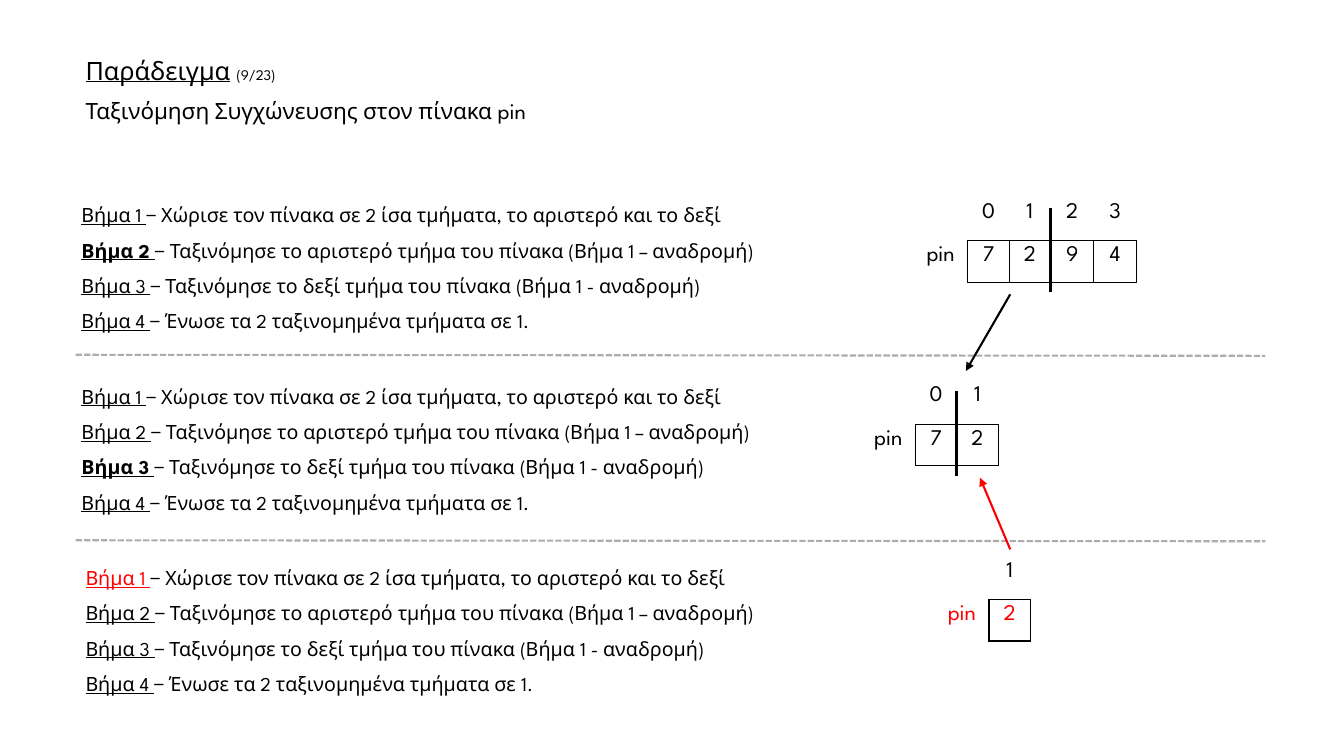
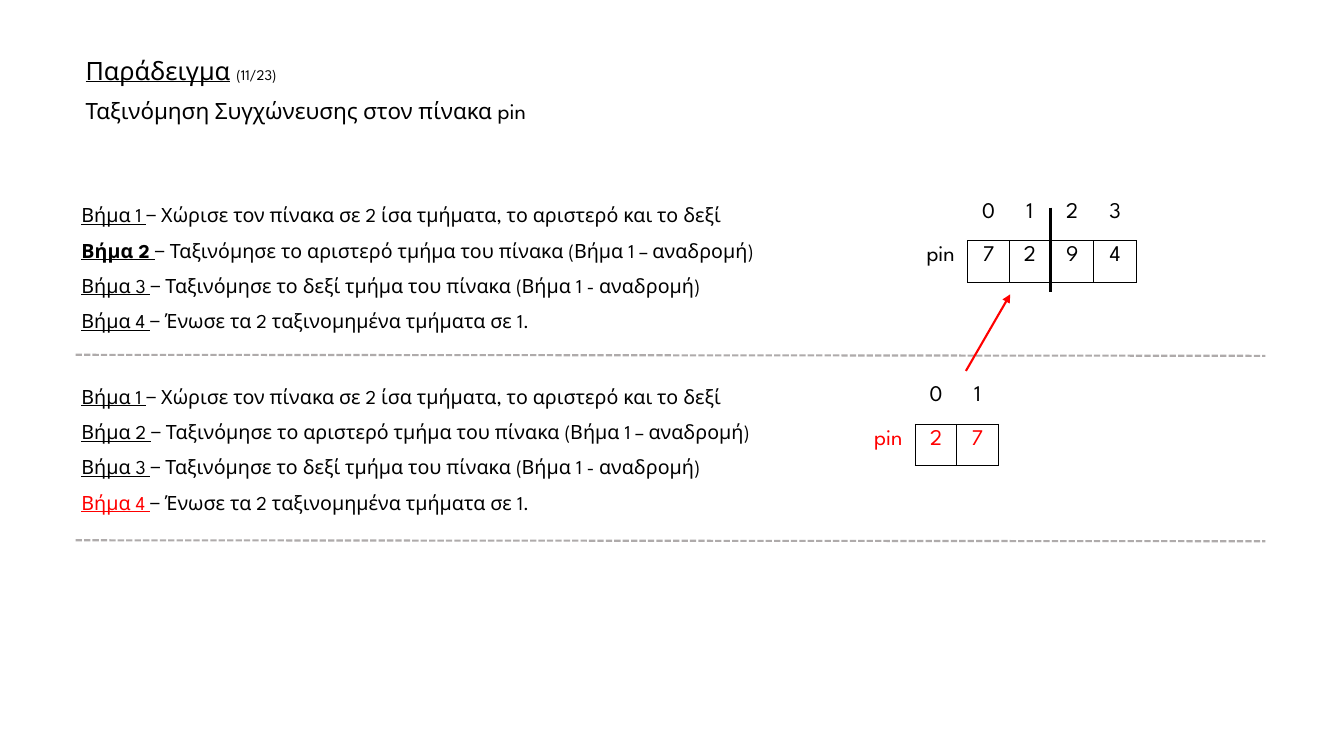
import lxml.etree
import pptx
import pptx.dml.color
import pptx.enum.dml
import pptx.enum.shapes
import pptx.enum.text
import pptx.oxml.ns
import pptx.util

PX = 9144  # 100 px to the inch
FONT = "League Spartan"
BLACK, RED, GRAY = "000000", "FF0000", "AFABAB"
NO_STYLE = "{2D5ABB26-0587-4C30-8999-92F81FD0307C}"
LABEL_WIDTH = 54
VALUE_WIDTHS = (41, 41, 43, 42)
ROW_HEIGHTS = (43, 41)
STEPS = (
    "− Χώρισε τον πίνακα σε 2 ίσα τμήματα, το αριστερό και το δεξί",
    "− Ταξινόμησε το αριστερό τμήμα του πίνακα (Βήμα 1 – αναδρομή)",
    "− Ταξινόμησε το δεξί τμήμα του πίνακα (Βήμα 1 - αναδρομή)",
    "− Ένωσε τα 2 ταξινομημένα τμήματα σε 1.",
)


def px(length):
    return pptx.util.Emu(length * PX)


def rgb(color):
    return pptx.dml.color.RGBColor.from_string(color)


def add_child(parent, tag, **attributes):
    return lxml.etree.SubElement(parent, pptx.oxml.ns.qn(tag), attributes)


def write(paragraph, text, size=16, color=BLACK, bold=False, underline=False):
    run = paragraph.add_run()
    run.text = text
    font = run.font
    font.name = FONT
    font.size = pptx.util.Pt(size)
    font.bold = bold
    font.underline = underline
    font.color.rgb = rgb(color)


class Deck:
    def __init__(self):
        self.presentation = pptx.Presentation()
        self.presentation.slide_width = px(1333)
        self.presentation.slide_height = px(750)
        self.slide = None

    def new_slide(self, number):
        layout = self.presentation.slide_layouts[6]
        self.slide = self.presentation.slides.add_slide(layout)
        self.title(number)
        for y in (352, 536):
            self.line((75, y), (1255, y + 1), color=GRAY, dashed=True)

    def text_box(self, left, top, width, height):
        frame = self.slide.shapes.add_textbox(
            px(left), px(top), px(width), px(height)).text_frame
        frame.word_wrap = True
        return frame

    def title(self, number):
        frame = self.text_box(75, 52, 1079, 77)
        frame.vertical_anchor = pptx.enum.text.MSO_ANCHOR.MIDDLE
        heading, subtitle = frame.paragraphs[0], frame.add_paragraph()
        heading.line_spacing = subtitle.line_spacing = 0.9
        subtitle.space_before = pptx.util.Pt(10)
        write(heading, "Παράδειγμα", size=18, underline=True)
        write(heading, " ", size=18)
        write(heading, f"({number}/23)", size=10.5)
        write(subtitle, "Ταξινόμηση Συγχώνευσης στον πίνακα pin")

    def steps(self, left, top, bold=None, red=None):
        """List the four steps; bold and red are the numbers of marked steps."""
        frame = self.text_box(left, top, 703, 147)
        frame.auto_size = pptx.enum.text.MSO_AUTO_SIZE.SHAPE_TO_FIT_TEXT
        for number, step in enumerate(STEPS, 1):
            paragraph = frame.paragraphs[0] if number == 1 else frame.add_paragraph()
            paragraph.line_spacing = 1.5
            write(paragraph, f"Βήμα {number} ", size=14, underline=True,
                  bold=number == bold, color=RED if number == red else BLACK)
            write(paragraph, step, size=14)

    def line(self, start, end, color=BLACK, width=1.5, dashed=False, arrow=False):
        connector = self.slide.shapes.add_connector(
            pptx.enum.shapes.MSO_CONNECTOR.STRAIGHT, *map(px, start + end))
        connector.line.color.rgb = rgb(color)
        connector.line.width = pptx.util.Pt(width)
        if dashed:
            connector.line.dash_style = pptx.enum.dml.MSO_LINE.SQUARE_DOT
        properties = connector._element.spPr
        if arrow:
            add_child(properties.find(pptx.oxml.ns.qn("a:ln")), "a:tailEnd",
                      type="triangle")
        add_child(properties, "a:effectLst")

    def cell(self, cell, text, color, borders):
        """Fill one cell; borders holds the letters of its black sides."""
        paragraph = cell.text_frame.paragraphs[0]
        paragraph.alignment = pptx.enum.text.PP_ALIGN.CENTER
        if text:
            write(paragraph, text, color=color)
        properties = cell._tc.get_or_add_tcPr()
        for side in borders:
            border = add_child(properties, f"a:ln{side}", w="12700")
            add_child(add_child(border, "a:solidFill"), "a:srgbClr", val=BLACK)
        cell.fill.background()

    def array(self, left, top, indexes, values, color=BLACK, divided=False):
        """Draw the array pin with its indexes above, optionally cut in half."""
        widths = (LABEL_WIDTH,) + VALUE_WIDTHS[:len(values)]
        frame = self.slide.shapes.add_table(
            2, len(widths), px(left), px(top), px(sum(widths)), px(sum(ROW_HEIGHTS)))
        table = frame.table
        table.first_row = table.horz_banding = False
        table._tbl.tblPr.find(pptx.oxml.ns.qn("a:tableStyleId")).text = NO_STYLE
        for column, width in zip(table.columns, widths):
            column.width = px(width)
        for row, height in zip(table.rows, ROW_HEIGHTS):
            row.height = px(height)
        self.cell(table.cell(0, 0), "", BLACK, "")
        self.cell(table.cell(1, 0), "pin", color, "R")
        for column, (index, value) in enumerate(zip(indexes, values), 1):
            self.cell(table.cell(0, column), index, BLACK, "B")
            self.cell(table.cell(1, column), value, color, "LRTB")
        if divided:
            middle = left + sum(widths[:1 + len(values) // 2])
            self.line((middle, top + 10), (middle, top + 94), width=2.25)

    def whole_array(self):
        self.steps(71, 185, bold=2)
        self.array(906, 196, "0123", "7294", divided=True)


def main():
    deck = Deck()
    whole, left_half = (1002, 292), (958, 368)

    deck.new_slide(9)
    deck.whole_array()
    deck.line(whole, left_half, arrow=True)
    deck.steps(71, 365, bold=3)
    deck.array(854, 378, "01", "72", divided=True)
    deck.line((1002, 545), (972, 474), color=RED, arrow=True)
    deck.steps(75, 545, red=1)
    deck.array(927, 552, "1", "2", color=RED)

    deck.new_slide(11)
    deck.whole_array()
    deck.line(left_half, whole, color=RED, arrow=True)
    deck.steps(71, 365, red=4)
    deck.array(854, 378, "01", "27", color=RED)

    deck.presentation.save("out.pptx")


if __name__ == "__main__":
    main()
